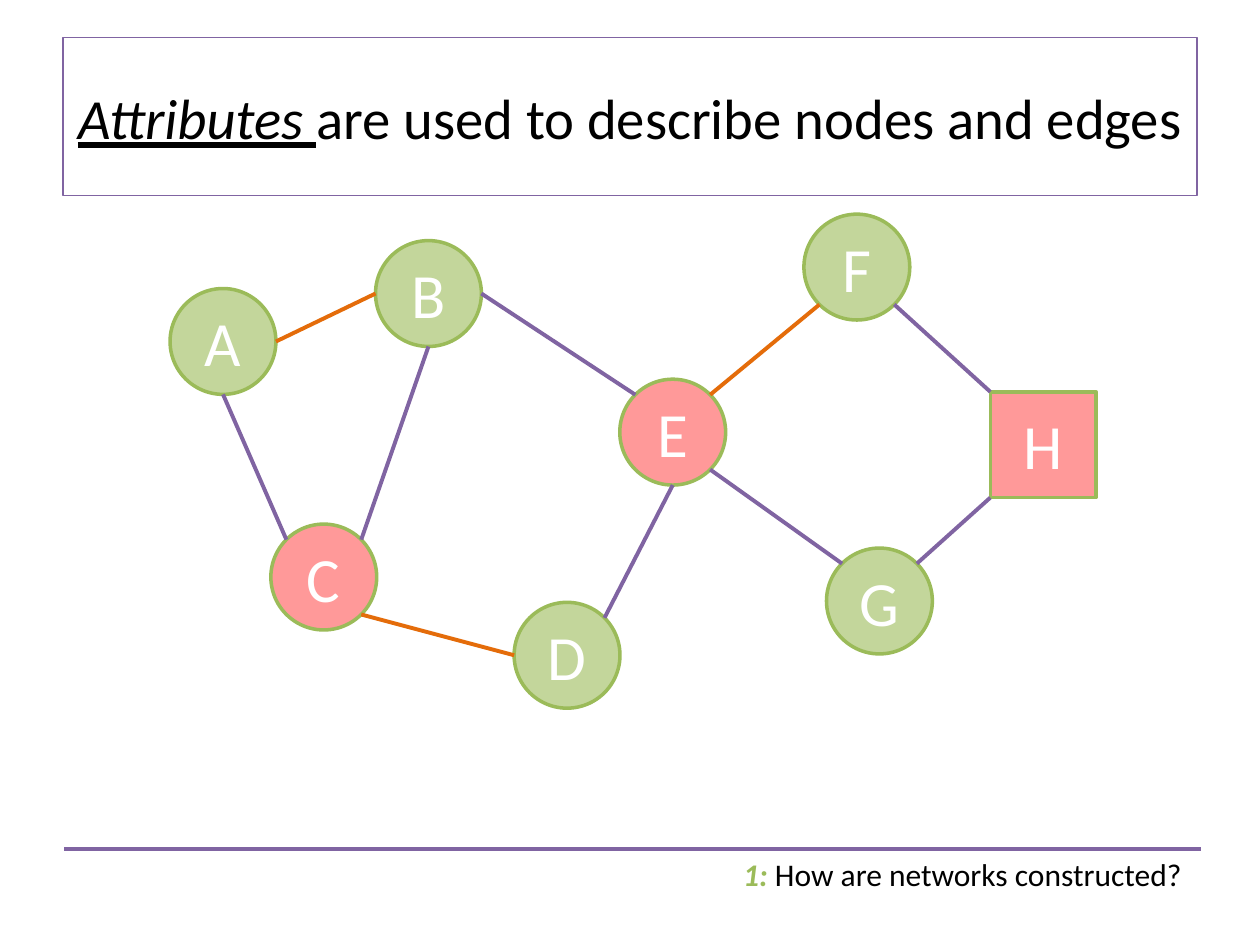
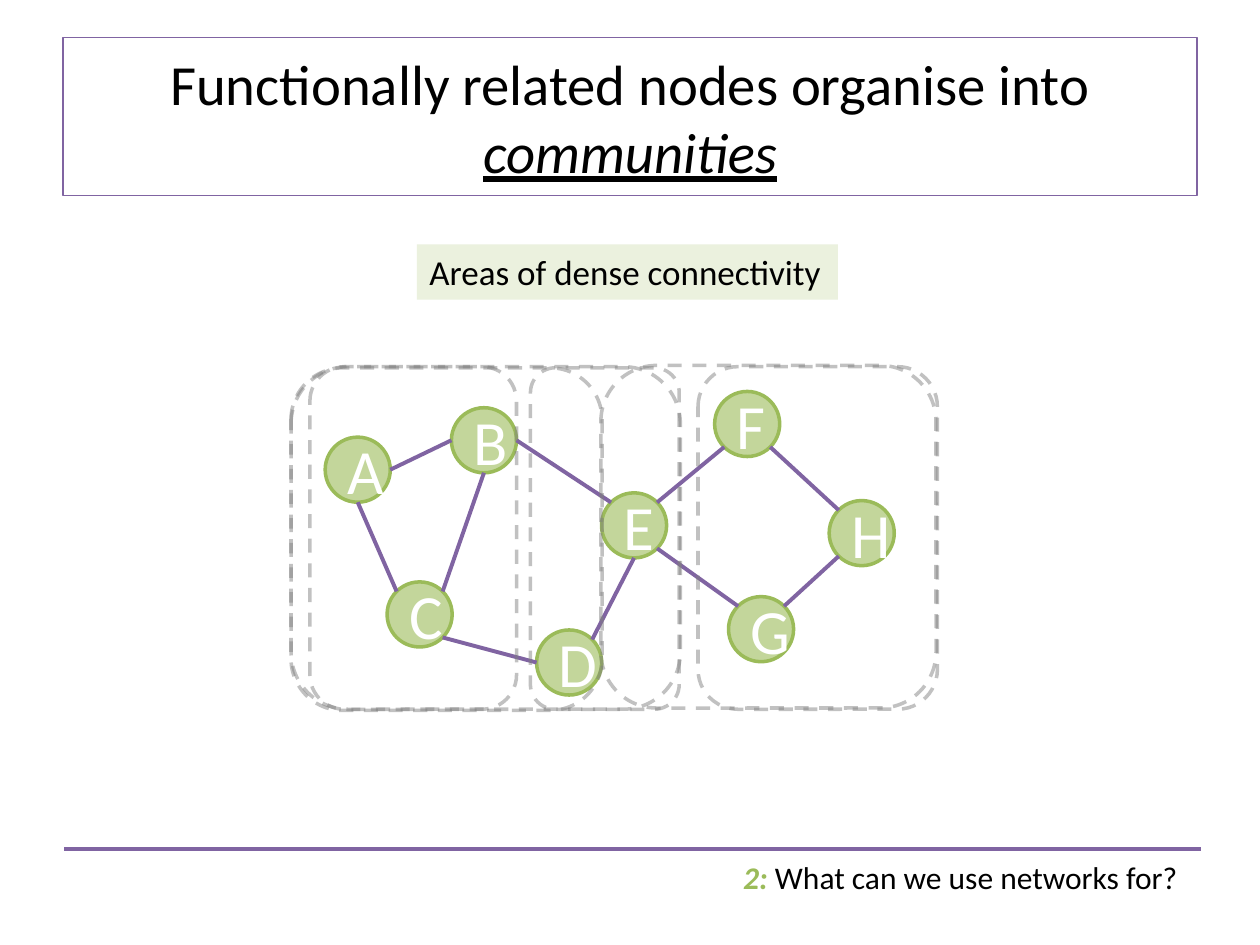
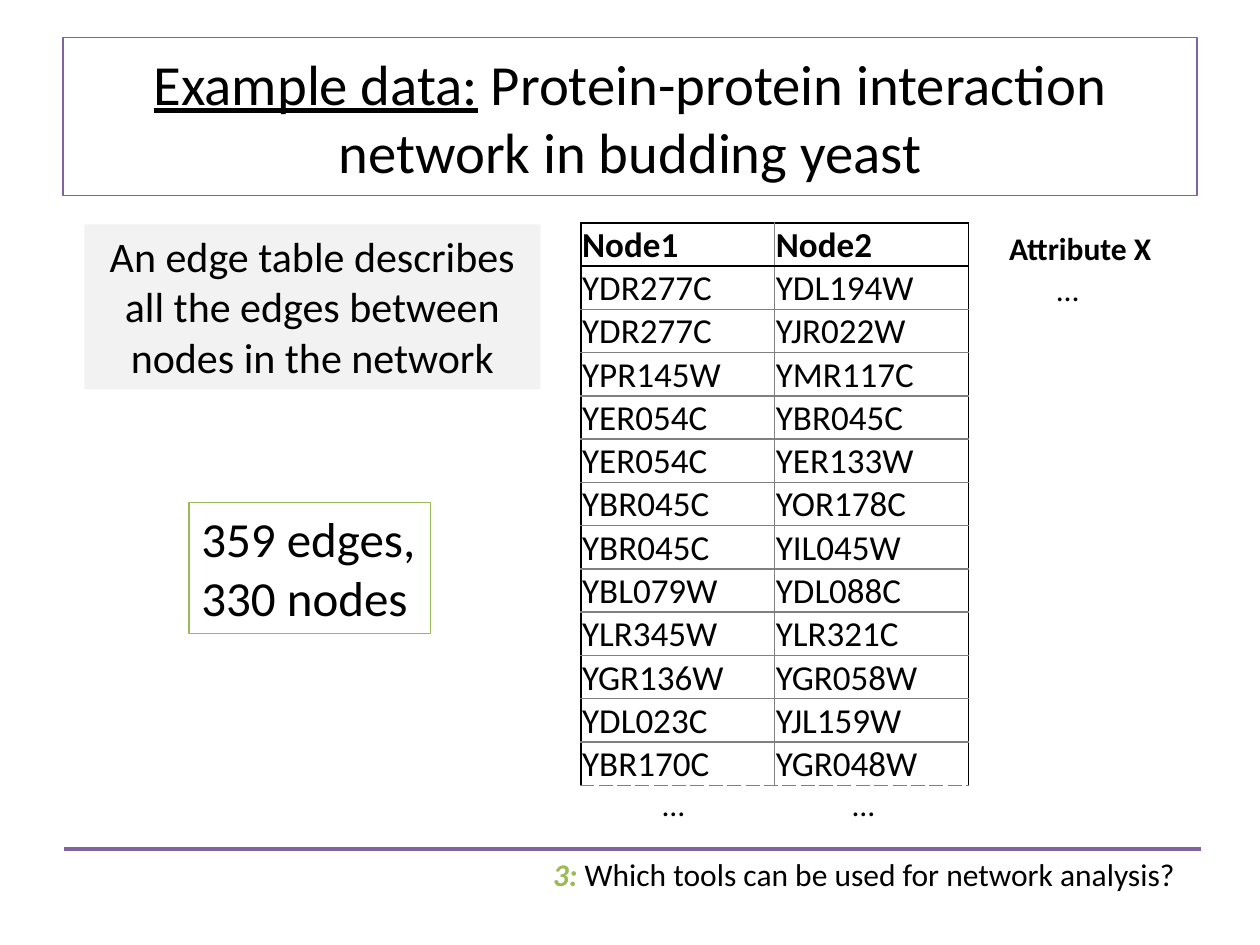
from lxml import etree
from pptx import Presentation
from pptx.dml.color import RGBColor
from pptx.enum.dml import MSO_LINE
from pptx.enum.shapes import MSO_CONNECTOR, MSO_SHAPE
from pptx.enum.text import MSO_ANCHOR, MSO_AUTO_SIZE, PP_ALIGN
from pptx.oxml.ns import qn
from pptx.util import Pt

FONT = "Calibri"
BLACK = RGBColor(0x00, 0x00, 0x00)
WHITE = RGBColor(0xFF, 0xFF, 0xFF)
PURPLE = RGBColor(0x80, 0x64, 0xA2)
GREEN = RGBColor(0x9B, 0xBB, 0x59)
LIGHT_GREEN = RGBColor(0xC3, 0xD6, 0x9B)
PALE_GREEN = RGBColor(0xEB, 0xF1, 0xDE)
PINK = RGBColor(0xFF, 0x99, 0x99)
ORANGE = RGBColor(0xE4, 0x6C, 0x0A)
DASH_GRAY = RGBColor(0x7F, 0x7F, 0x7F)
GRID_GRAY = RGBColor(0x80, 0x80, 0x80)
PALE_GRAY = RGBColor(0xF2, 0xF2, 0xF2)

# Content: each run is (text, format)
EMPHASIS = dict(italic=True, underline=True)
ATTRIBUTES_TITLE = [("Attributes ", EMPHASIS), ("are used to describe nodes and edges", {})]
COMMUNITIES_TITLE = [("Functionally related nodes organise into ", {}), ("communities", EMPHASIS)]
DATA_TITLE = [("Example data:", dict(underline=True)),
              (" Protein-protein interaction network in budding yeast", {})]

# Network: top left corner of every node, and edges as (node, site, node, site)
NODE_SIZE = 60.5
NODES = {"A": (97.2, 164.9), "B": (214.6, 137.5), "C": (154.8, 299.5), "D": (293.8, 344.2),
         "E": (354.2, 216.7), "F": (459.4, 122.4), "G": (472.3, 313.2), "H": (565.9, 223.9)}
EDGES = [("C", "bottom right", "D", "left"), ("E", "top right", "F", "bottom left"),
         ("F", "bottom right", "H", "top left"), ("E", "bottom right", "G", "top left"),
         ("G", "top right", "H", "bottom left"), ("C", "top left", "A", "bottom"),
         ("B", "bottom", "C", "top right"), ("B", "left", "A", "right"),
         ("B", "right", "E", "top left"), ("E", "bottom", "D", "top right")]
PINK_NODES, SQUARE_NODES, ORANGE_EDGES = "CEH", "H", ("CD", "EF", "BA")

# Community outlines: left, top, width, height
COMMUNITIES = [(166.3, 209.5, 222.5, 195.8), (398.9, 209.5, 136.8, 195.8),
               (177.1, 209.5, 118.1, 195.8), (303.1, 210.2, 85, 195.1),
               (343.4, 208.8, 191.5, 195.8), (166.3, 210.2, 177.8, 195.8)]

EDGE_TABLE = [("Node1", "Node2"),
              ("YDR277C", "YDL194W"), ("YDR277C", "YJR022W"), ("YPR145W", "YMR117C"),
              ("YER054C", "YBR045C"), ("YER054C", "YER133W"), ("YBR045C", "YOR178C"),
              ("YBR045C", "YIL045W"), ("YBL079W", "YDL088C"), ("YLR345W", "YLR321C"),
              ("YGR136W", "YGR058W"), ("YDL023C", "YJL159W"), ("YBR170C", "YGR048W")]
ELLIPSES = [(371.5, 445), (480.2, 445), (596.9, 150.5)]


def points(values):
    return [Pt(value) for value in values]


def write_run(paragraph, text, size=18, color=BLACK, bold=False, italic=False, underline=False):
    run = paragraph.add_run()
    run.text = text
    font = run.font
    font.name, font.size, font.color.rgb = FONT, Pt(size), color
    font.bold, font.italic, font.underline = bold, italic, underline


def add_text(slide, box, lines, wrap=False, align=PP_ALIGN.LEFT, fill=None, line=None):
    """Add a text box; lines is a list of paragraphs, each a list of runs."""
    shape = slide.shapes.add_textbox(*points(box))
    frame = shape.text_frame
    frame.word_wrap = wrap
    frame.auto_size = MSO_AUTO_SIZE.SHAPE_TO_FIT_TEXT
    if fill is not None:
        shape.fill.solid()
        shape.fill.fore_color.rgb = fill
    if line is not None:
        shape.line.color.rgb, shape.line.width = line, Pt(0.75)
    for index, runs in enumerate(lines):
        paragraph = frame.add_paragraph() if index else frame.paragraphs[0]
        paragraph.alignment = align
        for text, style in runs:
            write_run(paragraph, text, **style)


def add_line(shapes, start, end, color):
    line = shapes.add_connector(MSO_CONNECTOR.STRAIGHT, *points((*start, *end)))
    line.line.color.rgb, line.line.width = color, Pt(2.25)
    etree.SubElement(line.element.spPr, qn("a:effectLst"))
    return line


def add_slide(presentation, layout, title_runs, number, question, footer_box, wrap=False):
    """Add a slide with the framed title and the section footer."""
    slide = presentation.slides.add_slide(layout)
    title = slide.shapes.title
    title.left, title.top, title.width, title.height = points((36, 21.6, 648, 90))
    title.line.color.rgb, title.line.width = PURPLE, Pt(0.75)
    frame = title.text_frame
    frame.auto_size, frame.vertical_anchor = MSO_AUTO_SIZE.NONE, MSO_ANCHOR.MIDDLE
    frame.paragraphs[0].alignment = PP_ALIGN.CENTER
    for text, style in title_runs:
        write_run(frame.paragraphs[0], text, size=32.4, **style)
    number_style = dict(color=GREEN, bold=True, italic=True)
    add_text(slide, footer_box, [[(f"{number}: ", number_style), (question, {})]], wrap=wrap)
    return slide


def site_point(corner, size, site, square):
    """Point on a node's outline, such as 'left' or 'top right'."""
    inset = 0 if square or " " not in site else 0.1464
    across = inset if "left" in site else 1 - inset if "right" in site else 0.5
    down = inset if "top" in site else 1 - inset if "bottom" in site else 0.5
    return corner[0] + across * size, corner[1] + down * size


def draw_network(slide, scale=1, offset=(0, 0), pink="", squares="", orange=()):
    shapes = slide.shapes.add_group_shape().shapes
    size = NODE_SIZE * scale
    corners = {name: (offset[0] + x * scale, offset[1] + y * scale)
               for name, (x, y) in NODES.items()}
    for name, corner in corners.items():
        kind = MSO_SHAPE.RECTANGLE if name in squares else MSO_SHAPE.OVAL
        node = shapes.add_shape(kind, *points((*corner, size, size)))
        node.shadow.inherit = False
        node.fill.solid()
        node.fill.fore_color.rgb = PINK if name in pink else LIGHT_GREEN
        node.line.color.rgb, node.line.width = GREEN, Pt(2)
        node.text_frame.vertical_anchor = MSO_ANCHOR.MIDDLE
        paragraph = node.text_frame.paragraphs[0]
        paragraph.alignment = PP_ALIGN.CENTER
        write_run(paragraph, name, size=36, color=WHITE)
    for first, first_site, second, second_site in EDGES:
        start = site_point(corners[first], size, first_site, first in squares)
        end = site_point(corners[second], size, second_site, second in squares)
        add_line(shapes, start, end, ORANGE if first + second in orange else PURPLE)


def add_community(slide, box):
    outline = slide.shapes.add_shape(MSO_SHAPE.ROUNDED_RECTANGLE, *points(box))
    outline.shadow.inherit = False
    outline.fill.background()
    outline.line.color.rgb, outline.line.width = DASH_GRAY, Pt(2)
    outline.line.dash_style = MSO_LINE.DASH
    color = outline.line._ln.find(".//" + qn("a:srgbClr"))
    etree.SubElement(color, qn("a:alpha"), val="48000")


def set_border(cell, side, color, dash="solid"):
    border = etree.SubElement(cell._tc.get_or_add_tcPr(), qn(f"a:ln{side}"), w=str(Pt(1)))
    fill = etree.SubElement(border, qn("a:solidFill"))
    etree.SubElement(fill, qn("a:srgbClr"), val=str(color))
    etree.SubElement(border, qn("a:prstDash"), val=dash)


def add_edge_table(slide):
    last = len(EDGE_TABLE) - 1
    frame = slide.shapes.add_table(len(EDGE_TABLE), 2, *points((332, 127.4, 221.4, 319.8)))
    table = frame.table
    table.first_row = table.horz_banding = False
    for row, names in enumerate(EDGE_TABLE):
        for column, name in enumerate(names):
            cell = table.cell(row, column)
            cell.margin_left = cell.margin_right = cell.margin_top = Pt(0.7)
            cell.margin_bottom = 0
            cell.vertical_anchor = MSO_ANCHOR.BOTTOM
            set_border(cell, "L", GRID_GRAY if column else BLACK)
            set_border(cell, "R", BLACK if column else GRID_GRAY)
            set_border(cell, "T", BLACK if row < 2 else GRID_GRAY)
            set_border(cell, "B", GRID_GRAY if row else BLACK,
                       "sysDash" if row == last else "solid")
            cell.fill.background()
            write_run(cell.text_frame.paragraphs[0], name, size=20, bold=row == 0)


def main():
    presentation = Presentation()
    presentation.slide_width, presentation.slide_height = Pt(720), Pt(540)
    layout = presentation.slide_layouts[5]

    # Attributes
    slide = add_slide(presentation, layout, ATTRIBUTES_TITLE, 1,
                      "How are networks constructed?", (417.6, 485.3, 267.8, 28.8))
    draw_network(slide, pink=PINK_NODES, squares=SQUARE_NODES, orange=ORANGE_EDGES)

    # Footer rule, moved to the layout so that all slides share it
    rule = add_line(slide.shapes, (36.7, 485.3), (686.2, 485.3), PURPLE)
    layout.shapes.element.append(rule.element)

    # Communities
    slide = add_slide(presentation, layout, COMMUNITIES_TITLE, 2,
                      "What can we use networks for?", (417.6, 486.7, 265.7, 28.8))
    draw_network(slide, scale=0.6145, offset=(126.1, 148.5))
    for box in COMMUNITIES:
        add_community(slide, box)
    add_text(slide, (238.3, 139.7, 240.5, 31.5),
             [[("Areas of dense connectivity", dict(size=20))]], fill=PALE_GREEN)

    # Example data
    slide = add_slide(presentation, layout, DATA_TITLE, 3,
                      "Which tools can be used for network analysis?",
                      (308.9, 485.3, 378.7, 28.8), wrap=True)
    add_edge_table(slide)
    for left, top in ELLIPSES:
        add_text(slide, (left, top, 27.4, 28.8), [[("…", {})]])
    add_text(slide, (569.5, 127.4, 97.2, 28.8), [[("Attribute X", dict(bold=True))]])
    add_text(slide, (108, 287.3, 138.2, 74.9),
             [[(text, dict(size=28))] for text in ("359 edges,", "330 nodes")], line=GREEN)
    add_text(slide, (48.2, 128.2, 260.6, 94.3),
             [[("An edge table describes all the edges between nodes in the network",
                dict(size=24))]], wrap=True, align=PP_ALIGN.CENTER, fill=PALE_GRAY)

    presentation.save("out.pptx")


if __name__ == "__main__":
    main()
